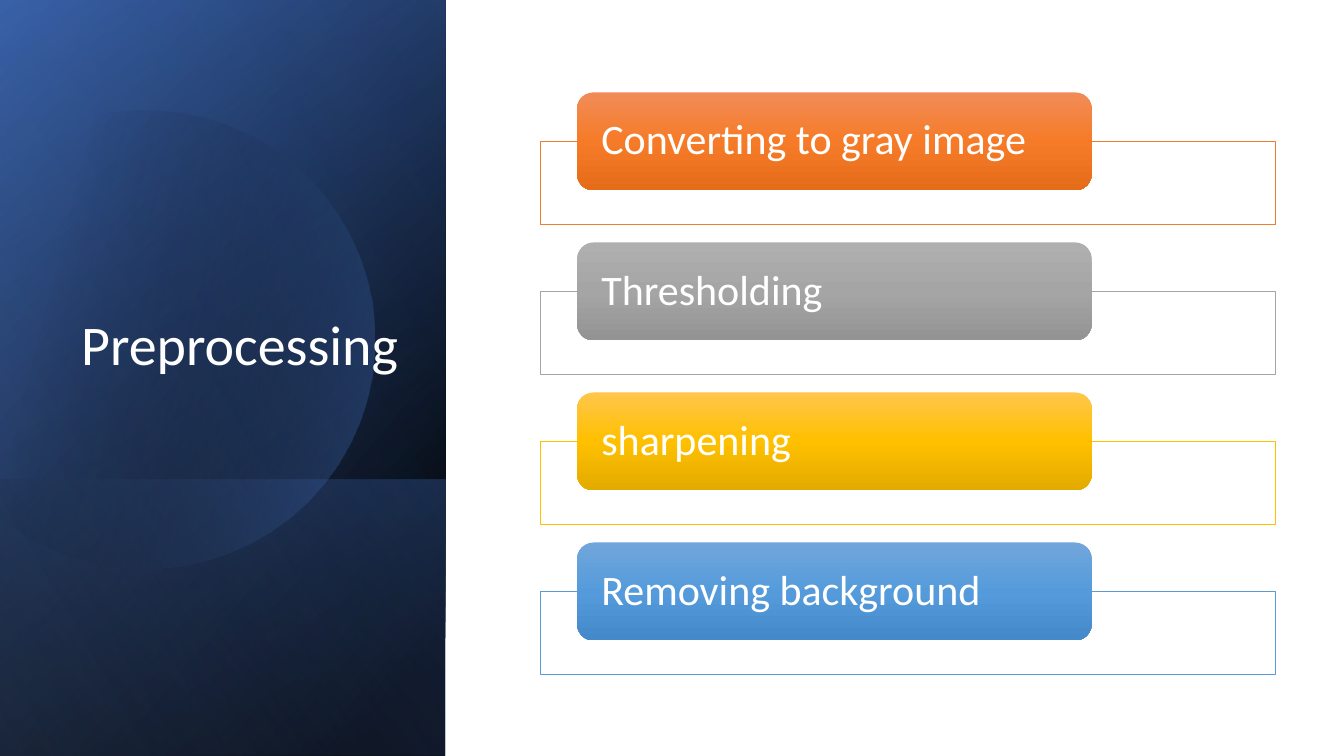
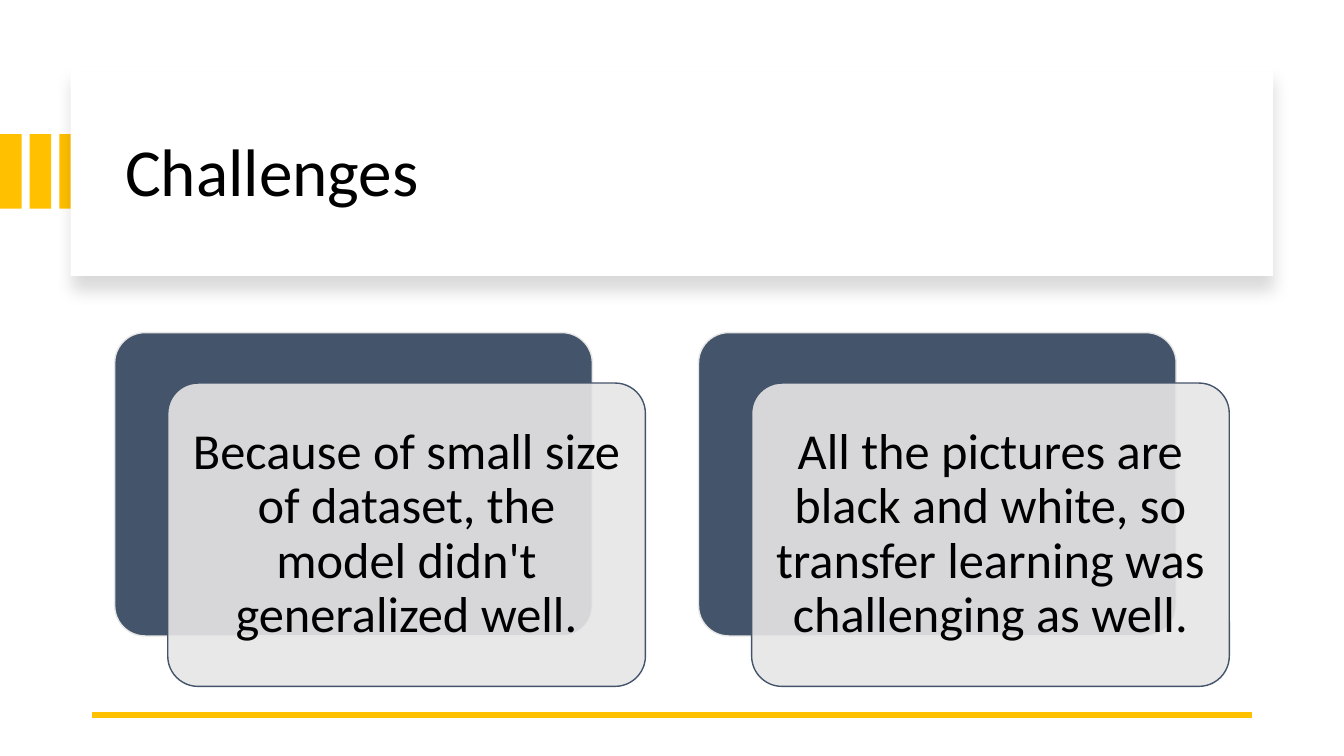
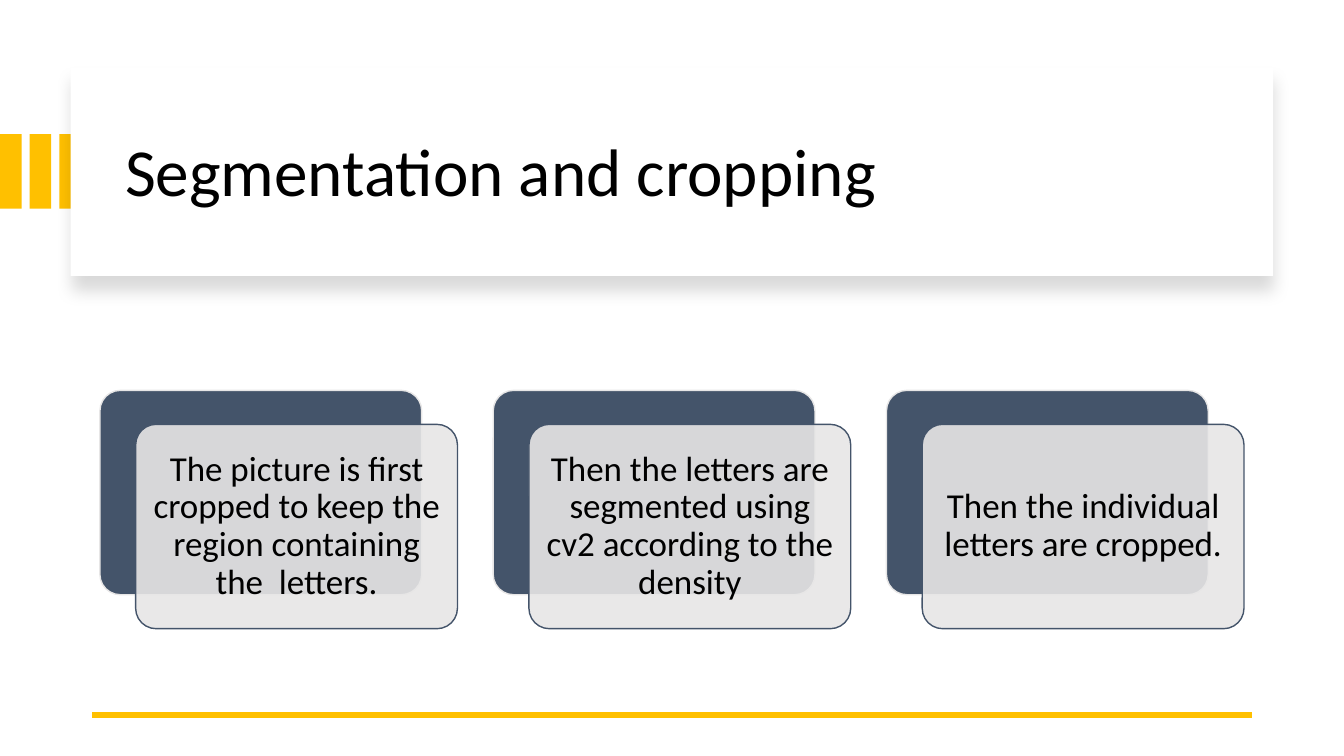
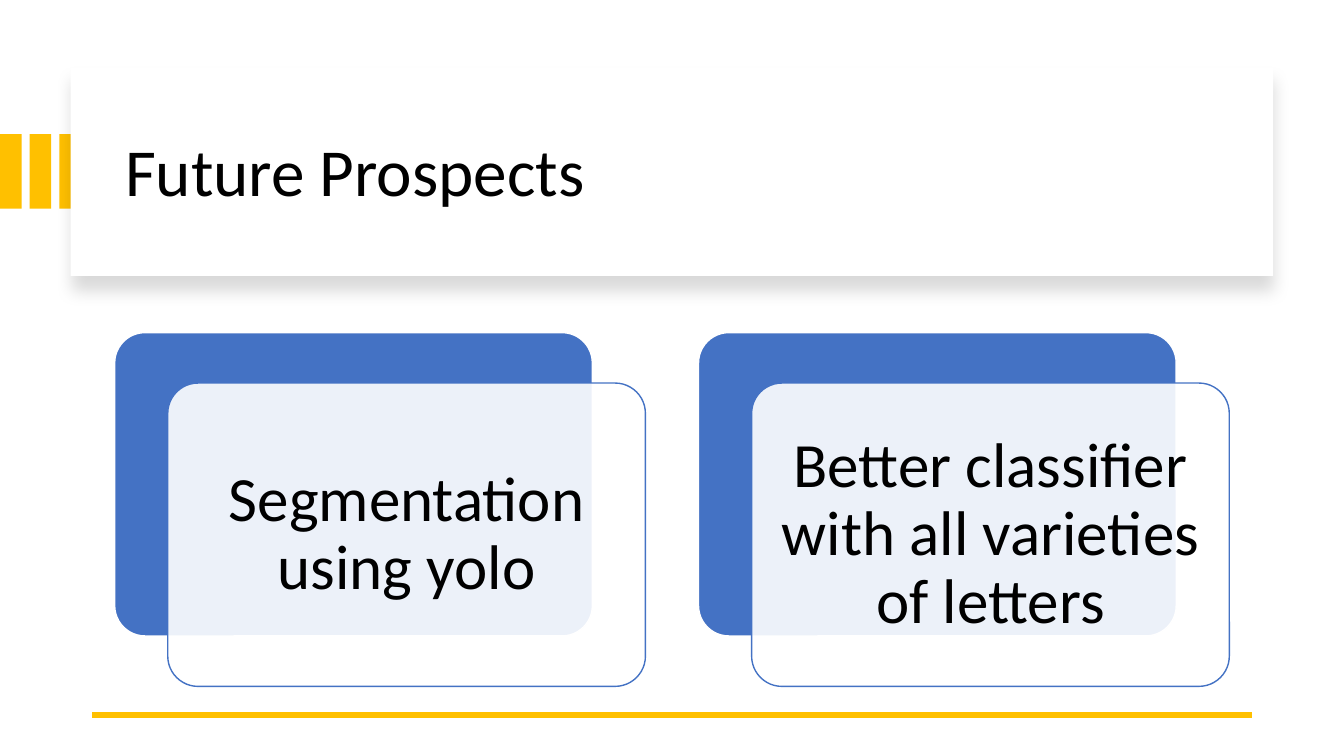
from dataclasses import dataclass
from math import cos, radians, sin
from typing import NamedTuple

from lxml.etree import SubElement
from pptx import Presentation
from pptx.dml.color import RGBColor
from pptx.enum.shapes import MSO_CONNECTOR, MSO_SHAPE
from pptx.enum.text import MSO_ANCHOR, MSO_AUTO_SIZE, PP_ALIGN
from pptx.oxml.ns import qn
from pptx.util import Pt


class Box(NamedTuple):
    left: float
    top: float
    width: float
    height: float

    def lengths(self):
        return [Pt(round(value, 2)) for value in self]


@dataclass(frozen=True)
class Theme:
    font: str = "Calibri"
    white: str = "FFFFFF"
    black: str = "000000"
    gold: str = "FFC000"
    blue: str = "4472C4"
    deep_blue: str = "2F5597"
    pale_blue: str = "8FAADC"
    slate: str = "44546A"
    light_gray: str = "E7E6E6"
    side_title_size: float = 40
    title_size: float = 48
    step_size: float = 30
    line_spacing: float = 0.9


THEME = Theme()
SLIDE = Box(0, 0, 960, 540)
SIDE_PANEL = Box(0, 0, 318.24, 540)
STEPS_REGION = Box(386, 66, 525, 416)
TITLE_PANEL = Box(50.4, 48.2, 859, 149)
CARDS_REGION = Box(71.4, 237.6, 817.2, 252.7)

STEPS = [
    ("Converting to gray image", "ED7D31", ("F18C57", "F67B28", "E56C19")),
    ("Thresholding", "A5A5A5", ("AFAFAF", "A5A5A5", "939393")),
    ("sharpening", "FFC000", ("FFC64B", "FFC000", "E3AB00")),
    ("Removing background", "5B9BD5", ("71A6DB", "559BDB", "448ACA")),
]

CARD_SLIDES = [
    (
        "Challenges",
        36,
        THEME.slate,
        THEME.light_gray,
        [
            "Because of small size of dataset, the model didn't generalized well.",
            "All the pictures are black and white, so transfer learning was challenging as well.",
        ],
    ),
    (
        "Segmentation and cropping",
        25,
        THEME.slate,
        THEME.light_gray,
        [
            "The picture is first cropped to keep the region containing the  letters.",
            "Then the letters are segmented using cv2 according to the density",
            "Then the individual letters are cropped.",
        ],
    ),
    (
        "Future Prospects",
        45,
        THEME.blue,
        THEME.white,
        ["Segmentation using yolo", "Better classifier with all varieties of letters"],
    ),
]


def color(value):
    return RGBColor.from_string(value)


def set_alpha(color_element, percent):
    SubElement(color_element, qn("a:alpha"), val=str(percent * 1000))


def fill_solid(shape, value, alpha=100):
    shape.fill.solid()
    shape.fill.fore_color.rgb = color(value)
    if alpha < 100:
        solid = shape.element.spPr.find(qn("a:solidFill"))
        set_alpha(solid[0], alpha)


def fill_gradient(shape, stops, angle):
    shape.fill.gradient()
    gradient = shape.element.spPr.find(qn("a:gradFill"))
    gradient.clear()
    gradient.set("rotWithShape", "1")
    stop_list = SubElement(gradient, qn("a:gsLst"))
    for position, value, alpha in stops:
        stop = SubElement(stop_list, qn("a:gs"), pos=str(position * 1000))
        set_alpha(SubElement(stop, qn("a:srgbClr"), val=value), alpha)
    SubElement(gradient, qn("a:lin"), ang=str(angle * 60000), scaled="0")


def set_line(shape, value=None, width=1):
    if value is None:
        shape.line.fill.background()
    else:
        shape.line.color.rgb = color(value)
        shape.line.width = Pt(width)


def add_box(slide, box, kind=MSO_SHAPE.RECTANGLE, line=None, line_width=1):
    shape = slide.shapes.add_shape(kind, *box.lengths())
    shape.shadow.inherit = False
    set_line(shape, line, line_width)
    return shape


def set_text(shape, text, size, value, align, anchor=MSO_ANCHOR.MIDDLE, insets=(7.2, 3.6)):
    frame = shape.text_frame
    frame.text = text
    frame.word_wrap = True
    frame.auto_size = MSO_AUTO_SIZE.NONE
    frame.vertical_anchor = anchor
    frame.margin_left = frame.margin_right = Pt(round(insets[0], 2))
    frame.margin_top = frame.margin_bottom = Pt(round(insets[1], 2))
    paragraph = frame.paragraphs[0]
    paragraph.alignment = align
    paragraph.line_spacing = THEME.line_spacing
    font = paragraph.runs[0].font
    font.name = THEME.font
    font.size = Pt(size)
    font.color.rgb = color(value)


def place_title(slide, box, text, size, value, align, anchor):
    title = slide.shapes.title
    title.left, title.top, title.width, title.height = box.lengths()
    set_text(title, text, size, value, align, anchor)
    title.element.getparent().append(title.element)


def add_turned_layer(slide, box, stops, angle):
    left = box.left + (box.width - box.height) / 2
    top = box.top + (box.height - box.width) / 2
    layer = add_box(slide, Box(left, top, box.height, box.width))
    layer.rotation = 90
    layer.element.spPr.find(qn("a:xfrm")).set("flipH", "1")
    fill_gradient(layer, stops, angle)


def add_clipped_circle(slide, box):
    center_x, center_y, radius = box.left + 104, box.top + 242.6, 164
    points = [
        (
            Pt(round(center_x + radius * cos(radians(degree)), 2)),
            Pt(round(center_y + radius * sin(radians(degree)), 2)),
        )
        for degree in range(-129, 130, 6)
    ]
    builder = slide.shapes.build_freeform(*points[0])
    builder.add_line_segments(points[1:], close=True)
    circle = builder.convert_to_shape()
    circle.shadow.inherit = False
    set_line(circle)
    fill_gradient(circle, [(19, THEME.black, 0), (100, THEME.blue, 43)], 14)


def add_side_panel(slide, box, text):
    lower = Box(box.left, box.top + 342.7, box.width, box.height - 342.7)
    add_turned_layer(slide, box, [(8, THEME.black, 100), (100, THEME.deep_blue, 100)], 50)
    add_turned_layer(slide, box, [(0, THEME.black, 0), (99, THEME.blue, 46)], 30)
    add_turned_layer(slide, lower, [(2, THEME.blue, 29), (100, THEME.black, 30)], 130)
    add_clipped_circle(slide, box)
    add_turned_layer(slide, box, [(0, THEME.black, 0), (99, THEME.pale_blue, 11)], 120)
    title_box = Box(box.left + 46, box.top + 132.5, 245.5, 141.2)
    place_title(
        slide, title_box, text, THEME.side_title_size, THEME.white, PP_ALIGN.RIGHT, MSO_ANCHOR.BOTTOM
    )


def add_steps(slide, box, steps):
    label_height, outline_height, outline_offset = 70, 59.5, 35
    pitch = (box.height - outline_offset - outline_height) / (len(steps) - 1)
    for index, (text, accent, shades) in enumerate(steps):
        top = box.top + index * pitch
        outline = add_box(
            slide,
            Box(box.left, top + outline_offset, box.width, outline_height),
            line=accent,
            line_width=0.5,
        )
        fill_solid(outline, THEME.white, 90)
        label = add_box(
            slide,
            Box(box.left + box.width * 0.05, top, box.width * 0.7, label_height),
            MSO_SHAPE.ROUNDED_RECTANGLE,
        )
        stops = [(position, shade, 100) for position, shade in zip((0, 50, 100), shades)]
        fill_gradient(label, stops, 90)
        set_text(label, text, THEME.step_size, THEME.white, PP_ALIGN.LEFT, insets=(13.9, 0))


def add_title_panel(slide, box, text):
    for index in range(3):
        bar = add_box(slide, Box(SLIDE.left + index * 21.2, box.top + 47.6, 15.4, 53.3))
        fill_solid(bar, THEME.gold)
    panel = add_box(slide, box)
    fill_solid(panel, THEME.white)
    effects = panel.element.spPr.find(qn("a:effectLst"))
    shadow = SubElement(
        effects,
        qn("a:outerShdw"),
        blurRad=str(Pt(11)),
        dist=str(Pt(10)),
        dir="5400000",
        algn="t",
        rotWithShape="0",
    )
    set_alpha(SubElement(shadow, qn("a:srgbClr"), val=THEME.black), 15)
    title_box = Box(box.left + 31.7, box.top + 15.4, 801.4, 122.4)
    place_title(
        slide, title_box, text, THEME.title_size, THEME.black, PP_ALIGN.LEFT, MSO_ANCHOR.MIDDLE
    )


def add_bottom_rule(slide, box):
    height = Pt(box.top + 510.5)
    rule = slide.shapes.add_connector(
        MSO_CONNECTOR.STRAIGHT, Pt(box.left + 894.2), height, Pt(box.left + 66), height
    )
    set_line(rule, THEME.gold, 4.5)
    SubElement(rule.element.spPr, qn("a:effectLst"))


def add_cards(slide, box, texts, size, dark, light):
    height_ratio, shift_x_ratio, shift_y_ratio, pitch_ratio = 0.635, 1 / 9, 0.1056, 11 / 9
    total_ratio = (len(texts) - 1) * pitch_ratio + 1 + shift_x_ratio
    stack_ratio = height_ratio + shift_y_ratio
    width = min(box.width / total_ratio, box.height / stack_ratio)
    height = width * height_ratio
    left = box.left + (box.width - width * total_ratio) / 2
    top = box.top + (box.height - width * stack_ratio) / 2
    inset = size * 0.3
    for index, text in enumerate(texts):
        back_box = Box(left + index * width * pitch_ratio, top, width, height)
        front_box = back_box._replace(
            left=back_box.left + width * shift_x_ratio, top=top + width * shift_y_ratio
        )
        for card_box, fill, line, alpha in (
            (back_box, dark, light, 100),
            (front_box, light, dark, 90),
        ):
            card = add_box(slide, card_box, MSO_SHAPE.ROUNDED_RECTANGLE, line)
            card.adjustments[0] = 0.1
            fill_solid(card, fill, alpha)
        set_text(card, text, size, THEME.black, PP_ALIGN.CENTER, insets=(inset, inset))


def build_steps_slide(slide):
    add_side_panel(slide, SIDE_PANEL, "Preprocessing")
    add_steps(slide, STEPS_REGION, STEPS)


def build_cards_slide(slide, title, size, dark, light, texts):
    add_title_panel(slide, TITLE_PANEL, title)
    add_bottom_rule(slide, SLIDE)
    add_cards(slide, CARDS_REGION, texts, size, dark, light)


def main():
    presentation = Presentation()
    presentation.slide_width = Pt(SLIDE.width)
    presentation.slide_height = Pt(SLIDE.height)
    title_only = presentation.slide_layouts[5]
    build_steps_slide(presentation.slides.add_slide(title_only))
    for content in CARD_SLIDES:
        build_cards_slide(presentation.slides.add_slide(title_only), *content)
    presentation.save("out.pptx")


if __name__ == "__main__":
    main()
